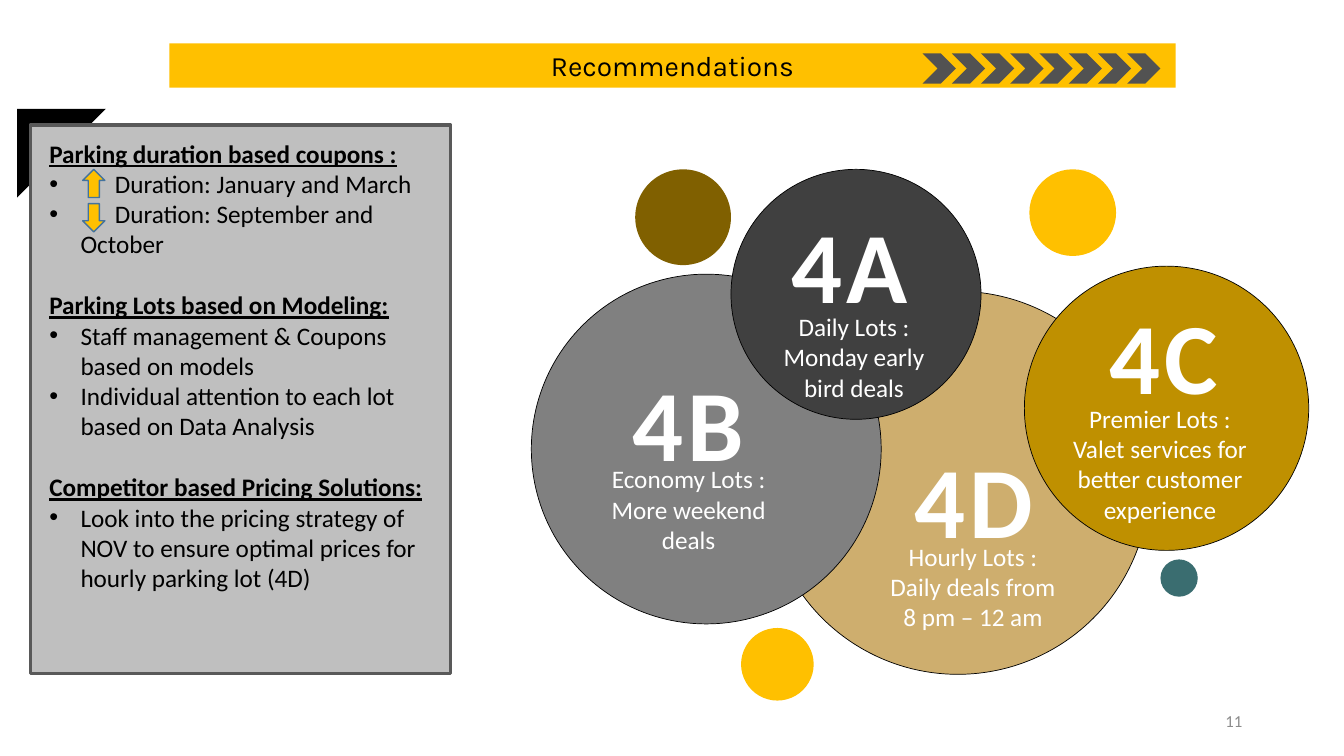
from pptx import Presentation
from pptx.dml.color import RGBColor
from pptx.enum.shapes import MSO_SHAPE as SHAPE
from pptx.enum.text import MSO_ANCHOR as ANCHOR, PP_ALIGN as ALIGN
from pptx.oxml import parse_xml
from pptx.oxml.ns import nsdecls
from pptx.util import Inches, Pt

COLORS = {
    "black": "000000", "white": "FFFFFF", "amber": "FFC000", "panel": "BFBFBF",
    "edge": "595959", "brown": "806000", "sand": "CEAE6E", "gray": "808080",
    "dark": "404040", "gold": "BF9000", "teal": "3A6D70", "chevron": "525252",
    "blue": "43739E", "number": "8C8C8C",
}
TITLE = "Recommendations"
# heading, bullets; a leading tab leaves room for an arrow
ADVICE = [
    ("Parking duration based coupons :",
     ["\tDuration: January and March", "\tDuration: September and October"]),
    ("Parking Lots based on Modeling:",
     ["Staff management & Coupons based on models",
      "Individual attention to each lot based on Data Analysis"]),
    ("Competitor based Pricing Solutions:",
     ["Look into the pricing strategy of NOV to ensure optimal prices for hourly parking lot (4D)"]),
]
# left, top, diameter, fill, outlined; back to front
CIRCLES = [
    (6.3, 1.68, 0.95, "brown", False),
    (10.21, 1.68, 0.86, "amber", False),
    (7.6, 2.89, 3.8, "sand", True),
    (5.27, 2.72, 3.47, "gray", True),
    (7.25, 1.68, 2.48, "dark", True),
    (10.16, 2.64, 2.82, "gold", True),
    (11.51, 5.55, 0.37, "teal", False),
    (7.35, 6.23, 0.72, "amber", False),
]
# code, its left and top, offer, its left, top and width
LOTS = [
    ("4A", 7.48, 1.96, "Daily Lots : Monday early bird deals", 7.53, 3.04, 1.88),
    ("4B", 5.88, 3.53, "Economy Lots : More weekend deals", 5.89, 4.55, 1.88),
    ("4C", 10.59, 2.86, "Premier Lots : Valet services for better customer experience",
     10.43, 3.95, 2.15),
    ("4D", 8.71, 4.29, "Hourly Lots : Daily deals from 8 pm – 12 am", 8.71, 5.32, 1.88),
]
CHEVRONS, CHEVRON_LEFT, CHEVRON_STEP = 8, 9.15, 0.29
INDENT, ARROW_ROOM = 0.31, 0.34


def rgb(name):
    return RGBColor.from_string(COLORS[name])


def add_shape(s, kind, box, fill, line=None, width=0.5, rotation=0):
    sp = s.shapes.add_shape(kind, *map(Inches, box))
    sp.shadow.inherit = False
    sp.rotation = rotation
    sp.fill.solid()
    sp.fill.fore_color.rgb = rgb(fill)
    if line:
        sp.line.color.rgb = rgb(line)
        sp.line.width = Pt(width)
    else:
        sp.line.fill.background()
    return sp


def add_run(p, text, size, color, name="Calibri", **formats):
    r = p.add_run()
    r.text = text
    r.font.color.rgb = rgb(color)
    for key, value in dict(size=Pt(size), name=name, **formats).items():
        setattr(r.font, key, value)
    return r


def add_text_box(s, *box):
    tf = s.shapes.add_textbox(*map(Inches, box)).text_frame
    tf.word_wrap = True
    return tf


def add_bullet(p, has_arrow):
    pPr = p._p.get_or_add_pPr()
    pPr.set("marL", str(Inches(INDENT)))
    pPr.set("indent", str(-Inches(INDENT)))
    pPr.append(parse_xml(f'<a:buFont {nsdecls("a")} typeface="Arial"/>'))
    pPr.append(parse_xml(f'<a:buChar {nsdecls("a")} char="•"/>'))
    if has_arrow:
        stop = Inches(INDENT + ARROW_ROOM)
        pPr.append(parse_xml(
            f'<a:tabLst {nsdecls("a")}><a:tab pos="{stop}" algn="l"/></a:tabLst>'))


def add_title(s):
    title = s.shapes.title
    title.left, title.top, title.width, title.height = map(Inches, (1.68, 0.43, 9.98, 0.44))
    title.fill.solid()
    title.fill.fore_color.rgb = rgb("amber")
    tf = title.text_frame
    tf.vertical_anchor = ANCHOR.MIDDLE
    p = tf.paragraphs[0]
    p.alignment = ALIGN.CENTER
    add_run(p, TITLE, 20, "black", "Karla")
    for i in range(CHEVRONS):
        add_shape(s, SHAPE.CHEVRON, (CHEVRON_LEFT + i * CHEVRON_STEP, 0.53, 0.33, 0.3), "chevron")


def add_advice(s):
    add_shape(s, SHAPE.RIGHT_TRIANGLE, (0.17, 1.08, 0.88, 0.88), "black", rotation=90)
    add_shape(s, SHAPE.RECTANGLE, (0.3, 1.24, 4.17, 5.44), "panel", "edge", 2.25)
    tf = add_text_box(s, 0.39, 1.32, 3.95, 4.95)
    for i, (heading, bullets) in enumerate(ADVICE):
        p = tf.add_paragraph() if i else tf.paragraphs[0]
        p.space_before = Pt(22 if i else 0)
        add_run(p, heading, 18, "black", bold=True, underline=True)
        for text in bullets:
            p = tf.add_paragraph()
            add_bullet(p, text.startswith("\t"))
            add_run(p, text, 18, "black")
    for top, rotation in ((1.68, 0), (2.02, 180)):
        add_shape(s, SHAPE.UP_ARROW, (0.82, top, 0.22, 0.28), "amber", "blue", 1, rotation)


def add_lots(s):
    for left, top, size, fill, outlined in CIRCLES:
        add_shape(s, SHAPE.OVAL, (left, top, size, size), fill, "black" if outlined else None)
    for code, left, top, offer, offer_left, offer_top, offer_width in LOTS:
        p = add_text_box(s, left, top, 1.9, 1.31).paragraphs[0]
        p.alignment = ALIGN.CENTER
        r = add_run(p, code, 72, "white", bold=True)
        r.font._element.set("spc", "300")
        p = add_text_box(s, offer_left, offer_top, offer_width, 1.01).paragraphs[0]
        p.alignment = ALIGN.CENTER
        add_run(p, offer, 18, "white")


def main():
    prs = Presentation()
    prs.slide_width, prs.slide_height = Inches(13.33), Inches(7.5)
    s = prs.slides.add_slide(prs.slide_layouts[5])
    add_title(s)
    add_advice(s)
    add_lots(s)
    tf = add_text_box(s, 9.42, 6.95, 3, 0.4)
    tf.vertical_anchor = ANCHOR.MIDDLE
    p = tf.paragraphs[0]
    p.alignment = ALIGN.RIGHT
    add_run(p, "11", 12, "number")
    prs.save("out.pptx")


if __name__ == "__main__":
    main()
